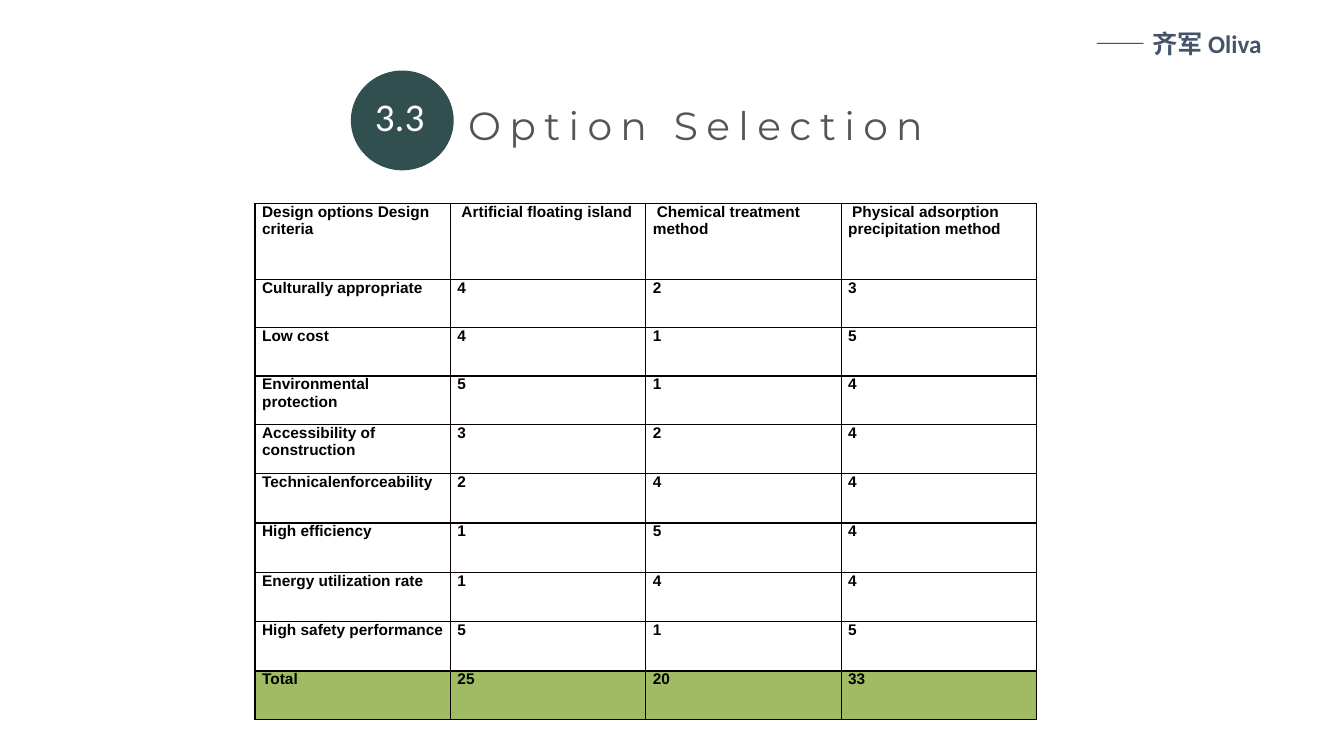
import pptx
import pptx.util
import pptx.dml.color
import pptx.enum.shapes
import pptx.enum.text
import pptx.oxml
import pptx.oxml.ns

deck = pptx.Presentation()
deck.slide_width = pptx.util.Inches(13.33)
deck.slide_height = pptx.util.Inches(7.5)
wide, high = deck.slide_width / 100, deck.slide_height / 100
slide = deck.slides.add_slide(deck.slide_layouts[5])


def area(left, top, width, height):
    return [round(n) for n in (left * wide, top * high, width * wide, height * high)]


def write(frame, text, face, size, ink, bold=False):
    frame.word_wrap = True
    line = frame.paragraphs[0]
    run = line.add_run()
    run.text = text
    form = {"name": face, "size": pptx.util.Pt(size), "bold": bold}
    for key, value in form.items():
        setattr(run.font, key, value)
    run.font.color.rgb = pptx.dml.color.RGBColor.from_string(ink)
    return line


title = slide.shapes.title
title.left, title.top, title.width, title.height = area(33.76, 12.67, 36, 7.6)
line = write(title.text_frame, "Option Selection", "Montserrat", 28, "585455")
line.alignment = pptx.enum.text.PP_ALIGN.CENTER
line.runs[0].font._element.set("spc", "600")
title.text_frame.vertical_anchor = pptx.enum.text.MSO_ANCHOR.MIDDLE
title.text_frame.auto_size = pptx.enum.text.MSO_AUTO_SIZE.NONE

disc = slide.shapes.add_shape(
    pptx.enum.shapes.MSO_SHAPE.OVAL, *area(26.11, 9.33, 7.65, 13.2))
disc.shadow.inherit = False
disc.fill.solid()
disc.fill.fore_color.rgb = pptx.dml.color.RGBColor.from_string("304F4E")
disc.line.fill.background()

labels = [
    (area(27.16, 11.6, 8.33, 9.73), "3.3", 28, "FFFFFF", False),
    (area(80.8, 3.07, 19.2, 5.33), "—— 齐军 Oliva", 18, "44546A", True),
]
for place, text, size, ink, bold in labels:
    box = slide.shapes.add_textbox(*place)
    write(box.text_frame, text, "Calibri", size, ink, bold)

data = [
    ("Design options Design criteria", "Artificial floating island",
     "Chemical treatment method", "Physical adsorption precipitation method"),
    ("Culturally appropriate", 4, 2, 3),
    ("Low cost", 4, 1, 5),
    ("Environmental protection", 5, 1, 4),
    ("Accessibility of construction", 3, 2, 4),
    ("Technicalenforceability", 2, 4, 4),
    ("High efficiency", 1, 5, 4),
    ("Energy utilization rate", 1, 4, 4),
    ("High safety performance", 5, 1, 5),
    ("Total", 25, 20, 33),
]
tall = [10] + [6.4] * 3 + [6.53] * 5 + [6.4]
last = len(data) - 1
grid = slide.shapes.add_table(
    len(data), 4, *area(18.98, 26.93, 58.14, sum(tall))).table
grid.first_row = False
grid.horz_banding = False
side = pptx.util.Inches(0.07)
inset = {"margin_left": side, "margin_right": side,
         "margin_top": 0, "margin_bottom": 0}
edge = ('<a:{} {} w="12700"><a:solidFill><a:srgbClr val="080000"/>'
        '</a:solidFill></a:{}>')

for row, values in enumerate(data):
    grid.rows[row].height = round(tall[row] * high)
    for col, value in enumerate(values):
        cell = grid.cell(row, col)
        for key, gap in inset.items():
            setattr(cell, key, gap)
        line = write(cell.text_frame, str(value), "Arial", 11, "000000", True)
        if row == 0 and col > 0:
            line._p.get_or_add_pPr().set("indent", str(pptx.util.Inches(0.04)))
        props = cell._tc.get_or_add_tcPr()
        for tag in ("lnL", "lnR", "lnT", "lnB"):
            props.append(pptx.oxml.parse_xml(
                edge.format(tag, pptx.oxml.ns.nsdecls("a"), tag)))
        if row == last:
            cell.fill.solid()
            cell.fill.fore_color.rgb = pptx.dml.color.RGBColor.from_string("A0BB63")
        else:
            cell.fill.background()

deck.save("out.pptx")
